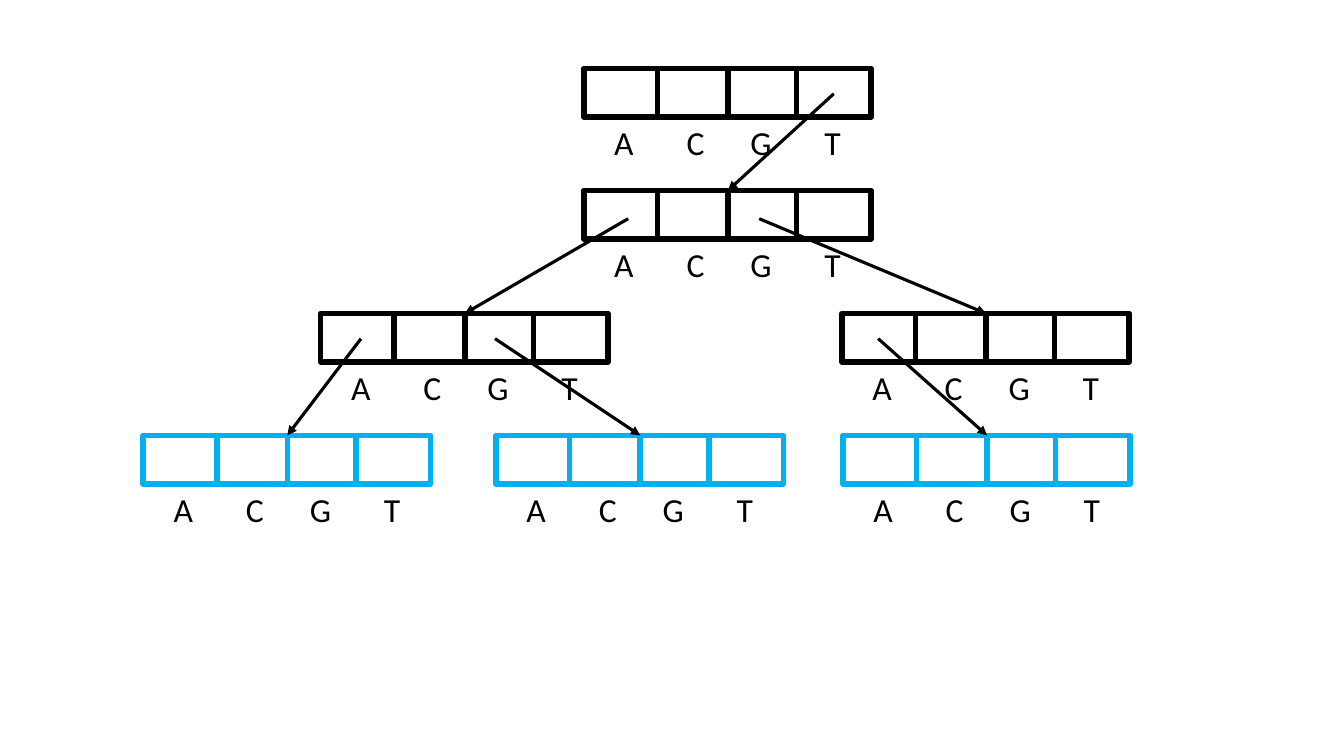
from dataclasses import dataclass

from lxml.etree import SubElement
from pptx import Presentation
from pptx.dml.color import RGBColor
from pptx.dml.line import LineFormat
from pptx.enum.shapes import MSO_CONNECTOR, MSO_SHAPE
from pptx.enum.text import MSO_AUTO_SIZE
from pptx.oxml.ns import qn
from pptx.shapes.connector import Connector
from pptx.slide import Slide
from pptx.util import Inches, Pt

BLACK, BLUE = "000000", "00B0F0"
WIDTH, HEIGHT = 2.85, 0.48
CUTS = (0.73, 1.43, 2.11)  # cell borders, from the node's left edge
MID = CUTS[1]  # arrows land on the middle border
STOPS = (0.31, 1.02, 1.67, 2.38)  # letter centres inside the label
LETTERS = "ACGT"


@dataclass(frozen=True)
class Node:
    left: float
    level: int
    color: str = BLACK

    @property
    def top(self) -> float:
        return round(0.68 + 1.213 * self.level, 2)


@dataclass(frozen=True)
class Link:
    x: float
    y: float
    child: Node


ROOT = Node(5.79, 0)
FORK = Node(5.79, 1)
LEFT, RIGHT = Node(3.18, 2), Node(8.35, 2)
LEAVES = [Node(x, 3, BLUE) for x in (1.42, 4.92, 8.36)]
NODES = [ROOT, FORK, LEFT, RIGHT, *LEAVES]
LINKS = [
    Link(8.27, 0.93, FORK),
    Link(6.23, 2.17, LEFT),
    Link(7.53, 2.17, RIGHT),
    Link(3.58, 3.36, LEAVES[0]),
    Link(4.91, 3.36, LEAVES[1]),
    Link(8.71, 3.36, LEAVES[2]),
]


def ink(line: LineFormat, color: str, width: float) -> None:
    line.color.rgb = RGBColor.from_string(color)
    line.width = Pt(width)


def add_line(slide: Slide, x1: float, y1: float, x2: float, y2: float,
             color: str, width: float) -> Connector:
    line = slide.shapes.add_connector(
        MSO_CONNECTOR.STRAIGHT, Inches(x1), Inches(y1), Inches(x2), Inches(y2))
    ink(line.line, color, width)
    SubElement(line._element.spPr, qn("a:effectLst"))
    return line


def add_label(slide: Slide, node: Node) -> None:
    box = slide.shapes.add_textbox(
        Inches(node.left - 0.01), Inches(node.top + HEIGHT), Inches(2.86), Inches(0.5))
    frame = box.text_frame
    frame.word_wrap = True
    frame.auto_size = MSO_AUTO_SIZE.SHAPE_TO_FIT_TEXT
    para = frame.paragraphs[0]
    para.text = "".join(f"\t{letter}" for letter in LETTERS)
    # Centred tab stops place each letter below its cell
    tabs = SubElement(para._p.get_or_add_pPr(), qn("a:tabLst"))
    for stop in STOPS:
        SubElement(tabs, qn("a:tab"), pos=str(Inches(stop)), algn="ctr")
    para.font.name = "Calibri"
    para.font.size = Pt(24)
    para.font.color.rgb = RGBColor.from_string(BLACK)


def add_node(slide: Slide, node: Node) -> None:
    frame = slide.shapes.add_shape(
        MSO_SHAPE.RECTANGLE, Inches(node.left), Inches(node.top),
        Inches(WIDTH), Inches(HEIGHT))
    frame.shadow.inherit = False
    frame.fill.background()
    ink(frame.line, node.color, 4)
    for cut in CUTS:
        x = node.left + cut
        add_line(slide, x, node.top, x, node.top + HEIGHT, node.color, 4)
    add_label(slide, node)


def add_link(slide: Slide, link: Link) -> None:
    child = link.child
    arrow = add_line(slide, link.x, link.y, child.left + MID, child.top, BLACK, 2.25)
    SubElement(arrow.line._get_or_add_ln(), qn("a:tailEnd"), type="triangle")


def main() -> None:
    deck = Presentation()
    deck.slide_width, deck.slide_height = Inches(13.33), Inches(7.5)
    slide = deck.slides.add_slide(deck.slide_layouts[6])

    # Trie nodes, then the pointers between them
    for node in NODES:
        add_node(slide, node)
    for link in LINKS:
        add_link(slide, link)

    deck.save("out.pptx")


if __name__ == "__main__":
    main()
